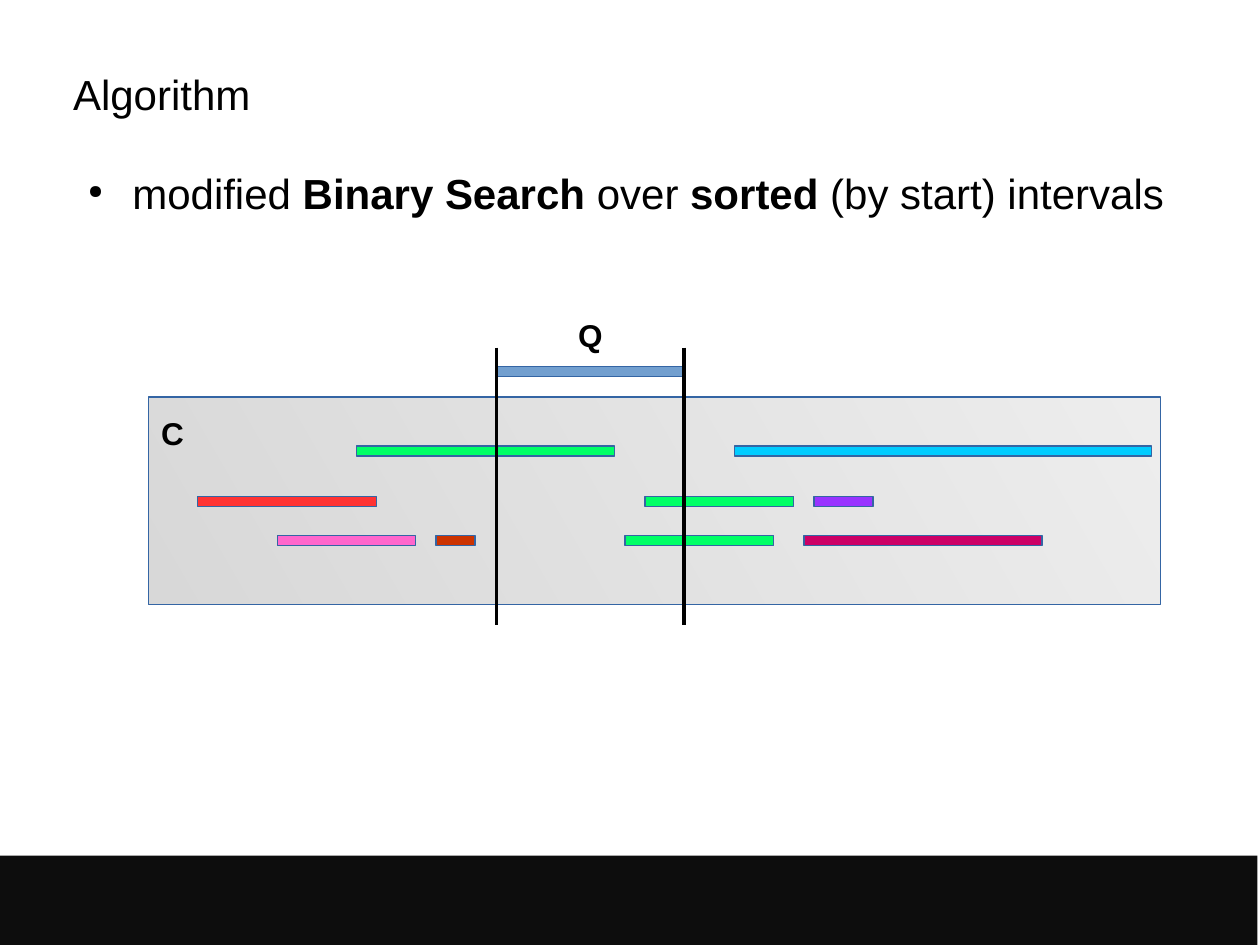
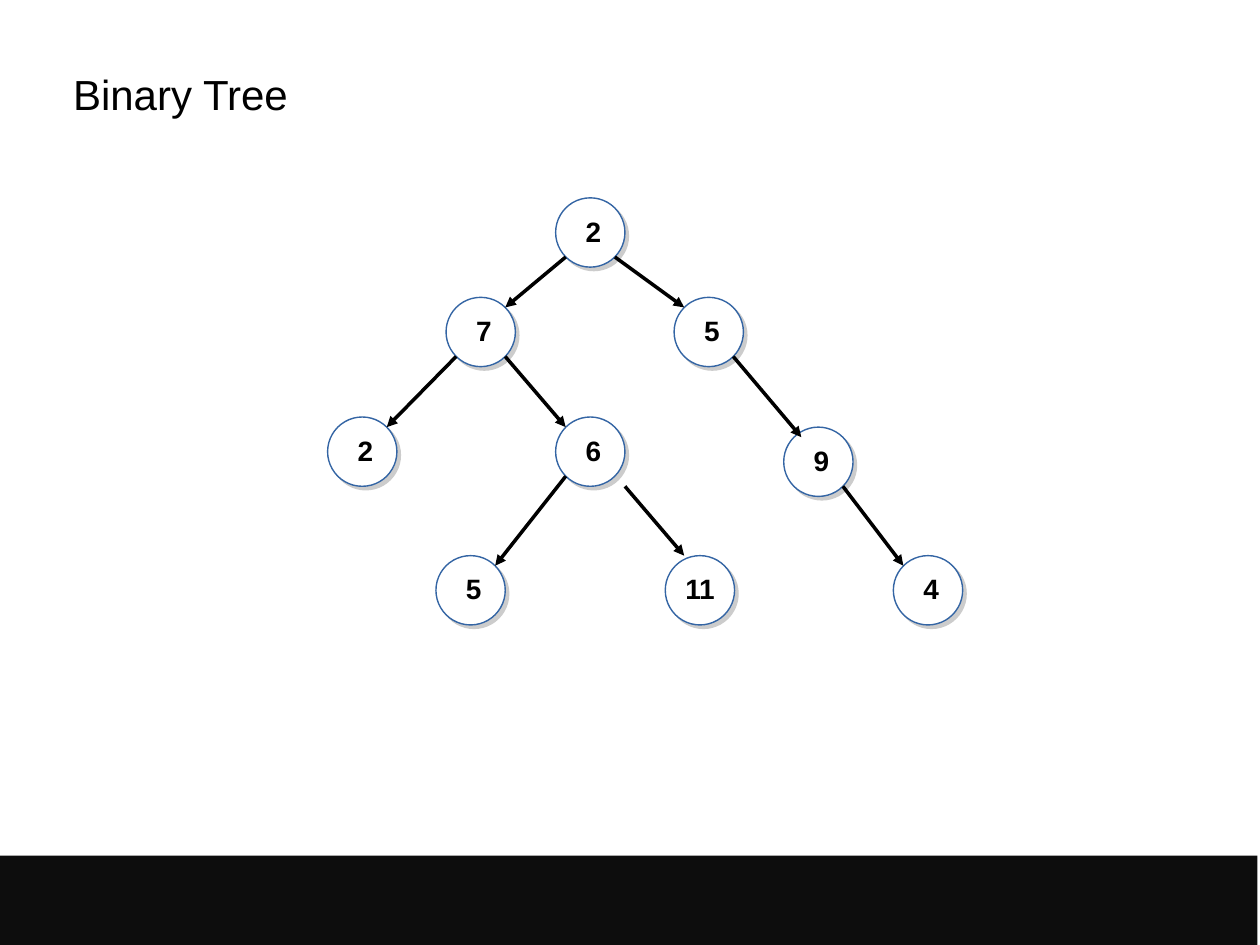
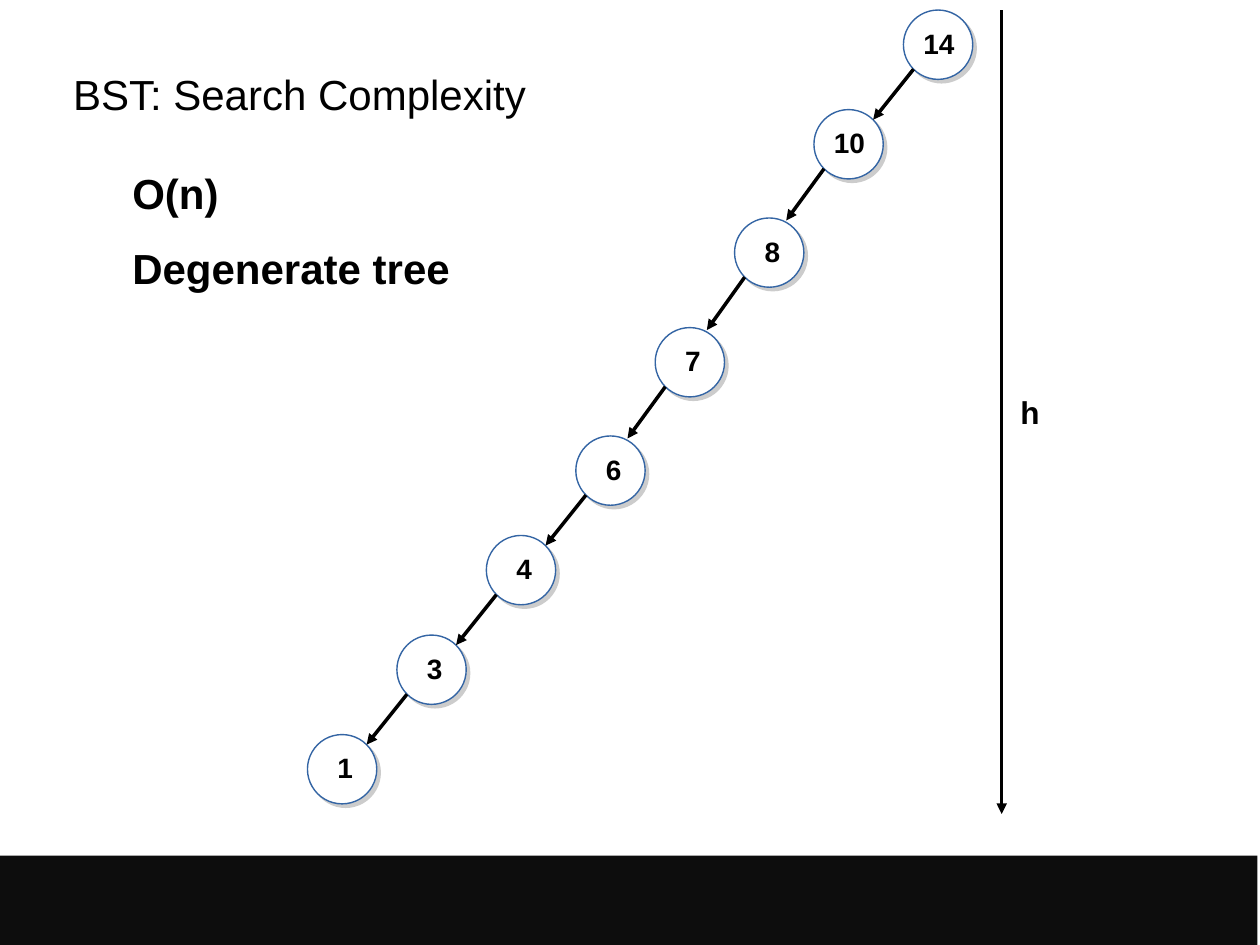
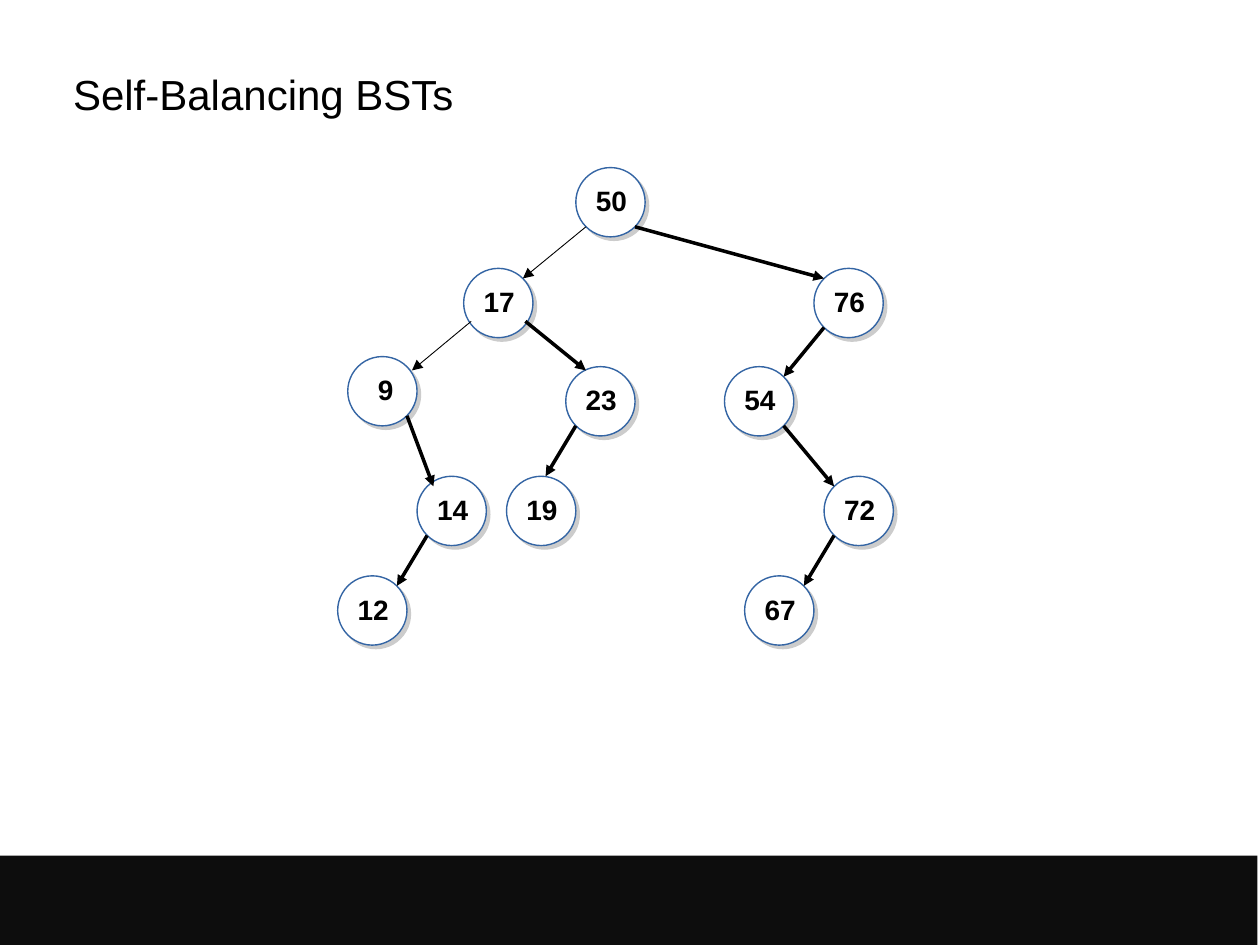
from dataclasses import dataclass
from typing import NamedTuple

from lxml.etree import SubElement
from pptx import Presentation
from pptx.dml.color import RGBColor
from pptx.enum.shapes import MSO_CONNECTOR, MSO_SHAPE
from pptx.enum.text import MSO_ANCHOR, MSO_AUTO_SIZE
from pptx.oxml.ns import qn
from pptx.util import Inches, Pt


@dataclass(frozen=True)
class Theme:
    font: str = "Arial"
    ink: str = "000000"
    band: str = "0D0D0D"
    outline: str = "3465A4"
    paper: str = "FFFFFF"
    shadow: str = "CCCCCC"
    panel_light: str = "DDDDDD"
    panel_dark: str = "B2B2B2"
    query: str = "729FCF"
    hit: str = "00FF66"
    red: str = "FF3333"
    pink: str = "FF66CC"
    rust: str = "CC3300"
    cyan: str = "00CCFF"
    violet: str = "9933FF"
    crimson: str = "CC0066"
    heading_size: int = 24
    label_size: int = 18
    node_size: int = 16
    hairline: float = 0
    node_line: float = 0.79


class Node(NamedTuple):
    label: str
    left: float
    top: float


class Link(NamedTuple):
    parent: int
    child: int
    start: tuple = None
    end: tuple = None
    weight: float = 0


class Deck:
    """Holds the theme and the current slide, and draws each kind of element."""

    DIAMETER = 0.55
    NEAR, FAR = 0.08, 0.47

    def __init__(self, theme):
        self.theme = theme
        self.presentation = Presentation()
        self.presentation.slide_width = Inches(10)
        self.presentation.slide_height = Inches(7.5)
        self.slide = None

    def new_slide(self, title):
        blank = self.presentation.slide_layouts[6]
        self.slide = self.presentation.slides.add_slide(blank)
        self.shape(MSO_SHAPE.RECTANGLE, -0.02, 6.79, 10, 0.71, self.theme.band)
        heading = self.text_box(0.58, 0.33, 8.92, 0.83, margin=0)
        heading.vertical_anchor = MSO_ANCHOR.MIDDLE
        heading.text = title
        self.style(heading.paragraphs[0].runs, self.theme.heading_size)

    def style(self, runs, size, bold=False):
        for run in runs:
            run.font.name = self.theme.font
            run.font.size = Pt(size)
            run.font.bold = bold
            run.font.color.rgb = RGBColor.from_string(self.theme.ink)

    def shape(self, kind, left, top, width, height, fill, weight=None):
        shape = self.slide.shapes.add_shape(
            kind, Inches(left), Inches(top), Inches(width), Inches(height))
        shape.shadow.inherit = False
        if fill:
            shape.fill.solid()
            shape.fill.fore_color.rgb = RGBColor.from_string(fill)
        if weight is None:
            shape.line.fill.background()
        else:
            shape.line.color.rgb = RGBColor.from_string(self.theme.outline)
            shape.line.width = Pt(weight)
        return shape

    def bar(self, left, top, width, fill):
        self.shape(MSO_SHAPE.RECTANGLE, left, top, width, 0.08, fill, self.theme.hairline)

    def panel(self, left, top, width, height):
        panel = self.shape(MSO_SHAPE.RECTANGLE, left, top, width, height, None,
                           self.theme.hairline)
        panel.fill.gradient()
        panel.fill.gradient_angle = 210
        tones = (self.theme.panel_light, self.theme.panel_dark)
        for stop, tone in zip(panel.fill.gradient_stops, tones):
            stop.color.rgb = RGBColor.from_string(tone)
        for colour in panel.element.spPr.find(qn("a:gradFill")).iter(qn("a:srgbClr")):
            SubElement(colour, qn("a:alpha"), val="50000")

    def text_box(self, left, top, width, height, margin=None, wrap=True):
        frame = self.slide.shapes.add_textbox(
            Inches(left), Inches(top), Inches(width), Inches(height)).text_frame
        frame.word_wrap = wrap
        if margin is not None:
            frame.margin_left = frame.margin_right = Inches(margin)
            frame.margin_top = frame.margin_bottom = Inches(margin)
        return frame

    def label(self, text, left, top, width, size, wrap=False):
        frame = self.text_box(left, top, width, 0.38, wrap=wrap)
        frame.auto_size = MSO_AUTO_SIZE.SHAPE_TO_FIT_TEXT
        frame.text = text
        self.style(frame.paragraphs[0].runs, size, bold=True)

    def body(self, paragraphs, bulleted=False):
        frame = self.text_box(0.58, 1.33, 8.92, 4.76, margin=0)
        for position, pieces in enumerate(paragraphs):
            paragraph = frame.add_paragraph() if position else frame.paragraphs[0]
            properties = paragraph._p.get_or_add_pPr()
            properties.set("marL", str(Inches(0.47)))
            properties.set("indent", str(Inches(-0.35 if bulleted else 0)))
            if bulleted:
                tint = SubElement(properties, qn("a:buClr"))
                SubElement(tint, qn("a:srgbClr"), val=self.theme.ink)
                SubElement(properties, qn("a:buSzPct"), val="45000")
                SubElement(properties, qn("a:buChar"), char="●")
            if position:
                paragraph.space_before = Pt(14.2)
            for text, bold in pieces:
                run = paragraph.add_run()
                run.text = text
                self.style([run], self.theme.heading_size, bold)

    def line(self, start, end, weight=0, arrow=False):
        points = [Inches(value) for value in (*start, *end)]
        line = self.slide.shapes.add_connector(MSO_CONNECTOR.STRAIGHT, *points)
        line.line.color.rgb = RGBColor.from_string(self.theme.ink)
        line.line.width = Pt(weight)
        if arrow:
            SubElement(line.line._get_or_add_ln(), qn("a:tailEnd"), type="triangle")
        SubElement(line.element.spPr, qn("a:effectLst"))

    def node(self, node):
        circle = self.shape(MSO_SHAPE.OVAL, node.left, node.top, self.DIAMETER,
                            self.DIAMETER, self.theme.paper, self.theme.node_line)
        effects = circle.element.spPr.find(qn("a:effectLst"))
        shadow = SubElement(effects, qn("a:outerShdw"), blurRad="0", dist=str(Pt(2.8)),
                            dir="2700000", algn="ctr", rotWithShape="0")
        SubElement(shadow, qn("a:srgbClr"), val=self.theme.shadow)
        inset, width = (0.14, 0.34) if len(node.label) == 1 else (0.06, 0.49)
        self.label(node.label, node.left + inset, node.top + 0.08, width,
                   self.theme.node_size, wrap=True)

    def link(self, parent, child, link):
        leftward = child.left < parent.left
        start = link.start or (self.NEAR if leftward else self.FAR, self.FAR)
        end = link.end or (self.FAR if leftward else self.NEAR, self.NEAR)
        self.line((parent.left + start[0], parent.top + start[1]),
                  (child.left + end[0], child.top + end[1]), link.weight, arrow=True)

    def tree(self, nodes, links):
        for node in nodes:
            self.node(node)
        for link in links:
            self.link(nodes[link.parent], nodes[link.child], link)


def algorithm(deck):
    theme = deck.theme
    deck.new_slide("Algorithm")
    deck.panel(1.18, 3.15, 8.03, 1.65)
    deck.body([[("modified ", False), ("Binary Search", True), (" over ", False),
                ("sorted", True), (" (by start) intervals", False)]], bulleted=True)
    deck.bar(3.94, 2.91, 1.5, theme.query)
    interval_rows = {
        3.54: [(2.83, 2.05, theme.hit), (5.83, 3.31, theme.cyan)],
        3.94: [(1.57, 1.42, theme.red), (5.12, 1.18, theme.hit), (6.46, 0.47, theme.violet)],
        4.25: [(2.2, 1.1, theme.pink), (3.46, 0.31, theme.rust), (4.96, 1.18, theme.hit),
               (6.38, 1.89, theme.crimson)],
    }
    for top, intervals in interval_rows.items():
        for left, width, fill in intervals:
            deck.bar(left, top, width, fill)
    deck.label("Q", 4.49, 2.46, 0.39, theme.label_size)
    deck.label("C", 1.18, 3.24, 0.38, theme.label_size)
    for boundary in (3.94, 5.43):
        deck.line((boundary, 2.76), (boundary, 4.96))


def binary_tree(deck):
    deck.new_slide("Binary Tree")
    nodes = [Node("2", 4.41, 1.57), Node("7", 3.54, 2.36), Node("5", 5.35, 2.36),
             Node("2", 2.6, 3.31), Node("6", 4.41, 3.31), Node("9", 6.22, 3.39),
             Node("5", 3.46, 4.41), Node("11", 5.28, 4.41), Node("4", 7.09, 4.41)]
    links = [Link(0, 1), Link(0, 2), Link(1, 3), Link(1, 4),
             Link(2, 5, end=(0.14, 0.08)), Link(5, 8), Link(4, 6),
             Link(4, 7, start=(0.55, 0.55), end=(0.15, 0))]
    deck.tree(nodes, links)


def search_complexity(deck):
    deck.new_slide("BST: Search Complexity")
    deck.body([[("O(n)", True)], [("Degenerate tree", True)]])
    nodes = [Node("14", 7.17, 0.08), Node("10", 6.46, 0.87), Node("8", 5.83, 1.73),
             Node("7", 5.2, 2.6), Node("6", 4.57, 3.46), Node("4", 3.86, 4.25),
             Node("3", 3.15, 5.04), Node("1", 2.44, 5.83)]
    steep = (0.41, 0.02)
    links = [Link(upper, upper + 1, end=steep if upper in (1, 2, 3) else None)
             for upper in range(len(nodes) - 1)]
    deck.tree(nodes, links)
    deck.line((7.95, 0.08), (7.95, 6.46), arrow=True)
    deck.label("h", 8, 3.07, 0.35, deck.theme.label_size)


def self_balancing(deck):
    deck.new_slide("Self-Balancing BSTs")
    nodes = [Node("50", 4.57, 1.33), Node("17", 3.68, 2.13), Node("76", 6.46, 2.13),
             Node("9", 2.76, 2.83), Node("23", 4.49, 2.91), Node("54", 5.75, 2.91),
             Node("14", 3.31, 3.78), Node("19", 4.02, 3.78), Node("72", 6.54, 3.78),
             Node("12", 2.68, 4.57), Node("67", 5.91, 4.57)]
    links = [Link(0, 1, weight=0.5), Link(0, 2),
             Link(1, 3, start=(0.06, 0.42), end=(0.51, 0.11), weight=0.5),
             Link(1, 4, start=(0.49, 0.42), end=(0.16, 0.03)),
             Link(2, 5), Link(3, 6, end=(0.13, 0.08)), Link(4, 7, end=(0.31, 0)),
             Link(5, 8), Link(6, 9), Link(8, 10)]
    deck.tree(nodes, links)


def main():
    deck = Deck(Theme())
    for build in (algorithm, binary_tree, search_complexity, self_balancing):
        build(deck)
    deck.presentation.save("out.pptx")


if __name__ == "__main__":
    main()
